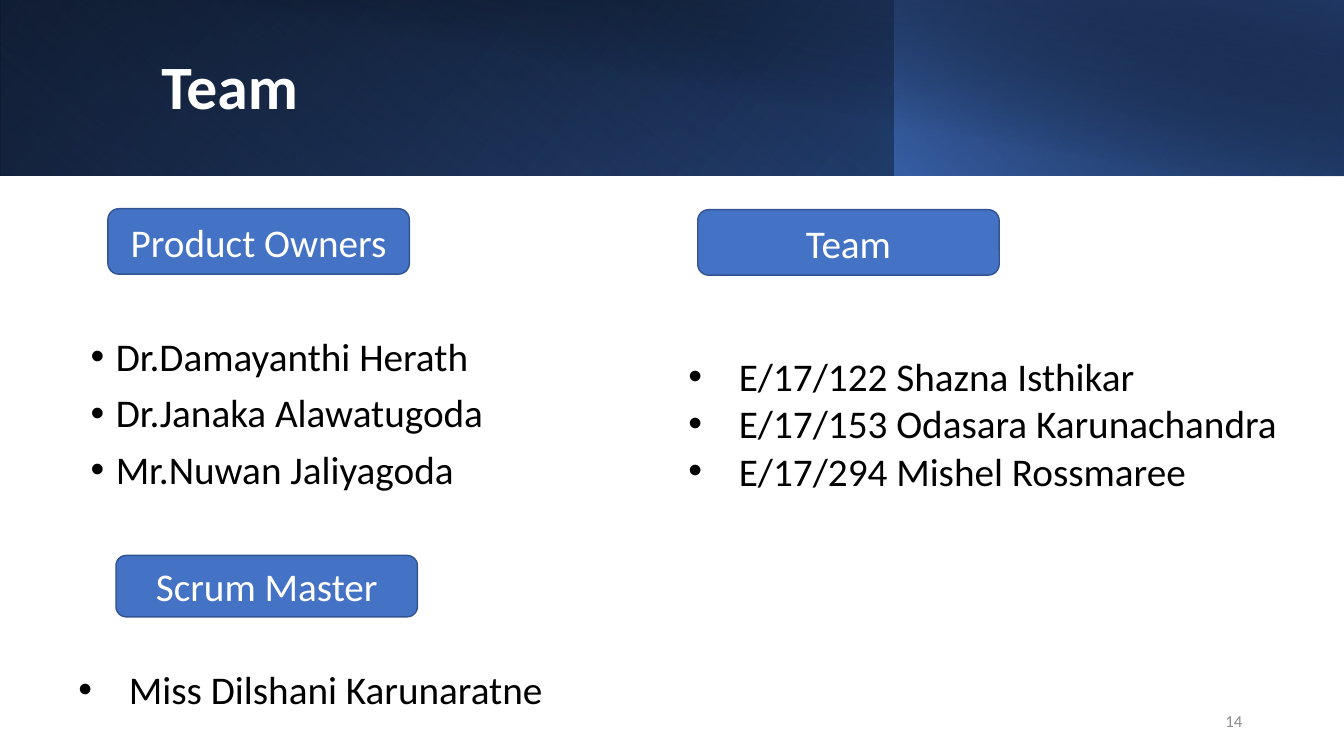
import pptx
import pptx.dml.color
import pptx.enum.shapes
import pptx.enum.text
import pptx.oxml
import pptx.oxml.ns
import pptx.util

Inches = pptx.util.Inches
Pt = pptx.util.Pt
ALIGN = pptx.enum.text.PP_ALIGN
ANCHOR = pptx.enum.text.MSO_ANCHOR
SHAPE = pptx.enum.shapes.MSO_SHAPE
A = pptx.oxml.ns.nsdecls("a")


def rgb(hex_color):
    return pptx.dml.color.RGBColor.from_string(hex_color)


def apply(target, formats):
    """Set every attribute in a dict of format values."""
    for attribute, value in formats.items():
        setattr(target, attribute, value)


class SlideBuilder:
    font = "Calibri"
    accent, outline = "4472C4", "325491"
    body_size = 28

    def __init__(self, slide):
        self.slide = slide

    def set_text(self, shape, lines, size, color, paragraph_format, bold=False,
                 anchor=ANCHOR.TOP):
        frame = shape.text_frame
        apply(frame, {"word_wrap": True, "vertical_anchor": anchor,
                      "auto_size": pptx.enum.text.MSO_AUTO_SIZE.NONE})
        frame.text = "\n".join(lines)
        for paragraph in frame.paragraphs:
            apply(paragraph, paragraph_format)
            run_font = paragraph.runs[0].font
            apply(run_font, {"name": self.font, "size": Pt(size), "bold": bold})
            run_font.color.rgb = rgb(color)
        return frame

    def title(self, text, box):
        title = self.slide.shapes.title
        apply(title, dict(zip(("left", "top", "width", "height"), map(Inches, box))))
        self.set_text(title, [text], 44, "FFFFFF",
                      {"alignment": ALIGN.LEFT, "line_spacing": 0.9},
                      bold=True, anchor=ANCHOR.MIDDLE)
        # The title must stand in front of the banner.
        title.element.getparent().append(title.element)

    def banner_layer(self, box, angle, stops, flip=True, rotation=0):
        """Add a gradient rectangle; stops are (position %, colour, opacity %)."""
        layer = self.slide.shapes.add_shape(SHAPE.RECTANGLE, *map(Inches, box))
        layer.shadow.inherit = False
        layer.line.fill.background()
        layer.rotation = rotation
        properties = layer.element.spPr
        if flip:
            properties.find(pptx.oxml.ns.qn("a:xfrm")).set("flipH", "1")
        stop_xml = "".join(
            f'<a:gs pos="{position * 1000}"><a:srgbClr val="{color}">'
            f'<a:alpha val="{opacity * 1000}"/></a:srgbClr></a:gs>'
            for position, color, opacity in stops)
        gradient = pptx.oxml.parse_xml(
            f'<a:gradFill {A} rotWithShape="1"><a:gsLst>{stop_xml}</a:gsLst>'
            f'<a:lin ang="{angle * 60000}" scaled="0"/></a:gradFill>')
        properties.find(pptx.oxml.ns.qn("a:prstGeom")).addnext(gradient)

    def heading(self, text, left, top, height=0.65):
        box = (left, top, 2.99, height)
        heading = self.slide.shapes.add_shape(SHAPE.ROUNDED_RECTANGLE, *map(Inches, box))
        heading.shadow.inherit = False
        heading.fill.solid()
        heading.fill.fore_color.rgb = rgb(self.accent)
        heading.line.color.rgb = rgb(self.outline)
        heading.line.width = Pt(1)
        self.set_text(heading, [text], self.body_size, "FFFFFF",
                      {"alignment": ALIGN.CENTER}, anchor=ANCHOR.MIDDLE)

    def bullets(self, lines, box, indent=0.5, paragraph_format=None):
        names = self.slide.shapes.add_textbox(*map(Inches, box))
        frame = self.set_text(names, lines, self.body_size, "000000", paragraph_format or {})
        for paragraph in frame.paragraphs:
            properties = paragraph._p.get_or_add_pPr()
            properties.set("marL", str(Inches(indent)))
            properties.set("indent", str(-Inches(indent)))
            properties.append(pptx.oxml.parse_xml(f'<a:buFont {A} typeface="Arial"/>'))
            properties.append(pptx.oxml.parse_xml(f'<a:buChar {A} char="•"/>'))

    def page_number(self, text, box):
        number = self.slide.shapes.add_textbox(*map(Inches, box))
        self.set_text(number, [text], 12, "8C8C8C", {"alignment": ALIGN.RIGHT},
                      anchor=ANCHOR.MIDDLE)


def main():
    deck = pptx.Presentation()
    apply(deck, {"slide_width": Inches(13.33), "slide_height": Inches(7.5)})
    builder = SlideBuilder(deck.slides.add_slide(deck.slide_layouts[5]))

    builder.banner_layer((0, 0, 13.33, 1.74), 140,
                         [(0, "000000", 100), (100, "2F5597", 100)])
    builder.banner_layer((0, 0, 8.88, 1.74), 230,
                         [(20, "4472C4", 0), (100, "203864", 55)], rotation=180)
    builder.banner_layer((8.87, 0, 4.46, 1.74), 220,
                         [(0, "4472C4", 66), (100, "000000", 30)])
    builder.banner_layer((0.5, 0, 12.83, 1.75), 280,
                         [(50, "000000", 0), (99, "203864", 52)], flip=False)
    builder.title("Team", (1.5, 0.32, 10.82, 1.13))

    builder.heading("Product Owners", 1.07, 2.07)
    builder.bullets(["Dr.Damayanthi Herath", "Dr.Janaka Alawatugoda", "Mr.Nuwan Jaliyagoda"],
                    (0.8, 3.3, 4.91, 1.79), indent=0.25,
                    paragraph_format={"line_spacing": 0.9, "space_before": Pt(10)})

    builder.heading("Scrum Master", 1.15, 5.51, height=0.61)
    builder.bullets(["Miss Dilshani Karunaratne"], (0.68, 6.55, 5.04, 0.57))

    builder.heading("Team", 6.92, 2.08)
    builder.bullets(["E/17/122 Shazna Isthikar", "E/17/153 Odasara Karunachandra",
                     "E/17/294 Mishel Rossmaree "], (6.73, 3.45, 6.6, 1.51))

    builder.page_number("14", (9.42, 6.95, 3, 0.4))
    deck.save("out.pptx")


if __name__ == "__main__":
    main()
